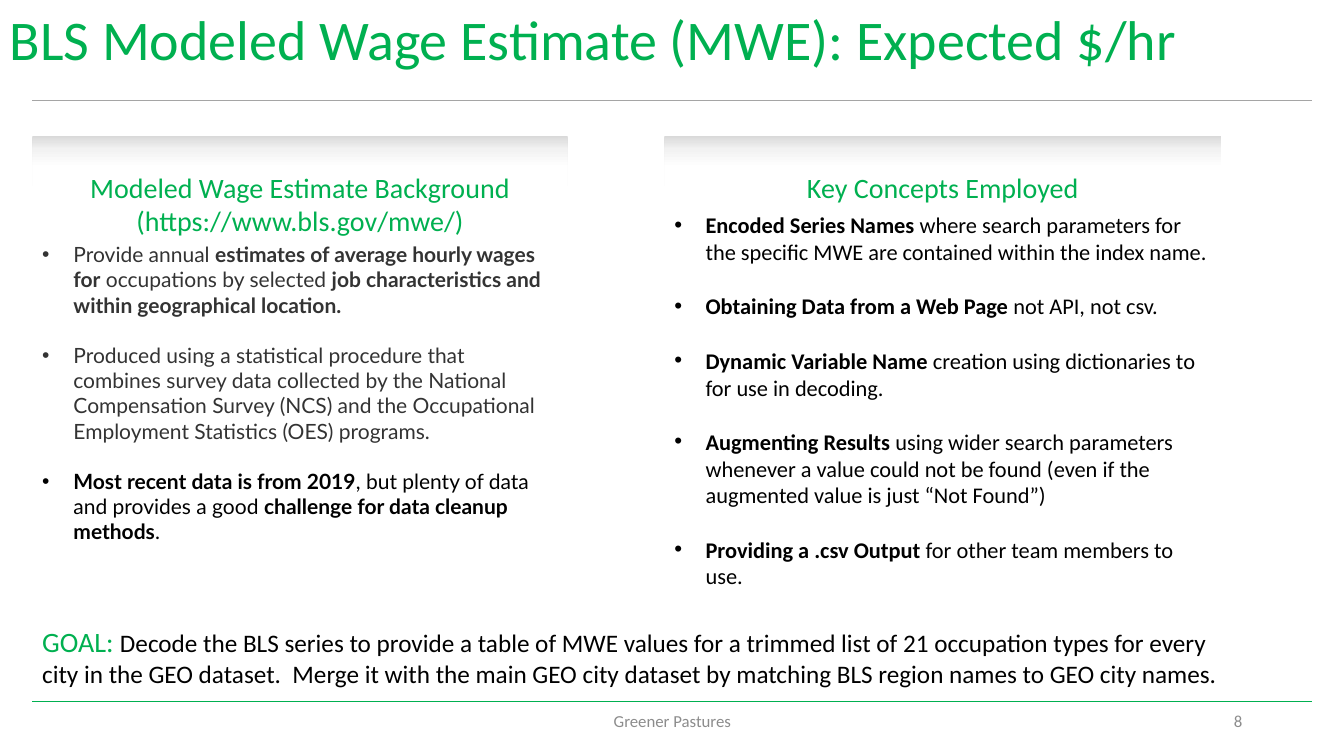
from copy import deepcopy

from lxml.etree import SubElement
from pptx import Presentation
from pptx.dml.color import RGBColor
from pptx.enum.shapes import MSO_CONNECTOR, MSO_SHAPE
from pptx.enum.text import MSO_ANCHOR, PP_ALIGN
from pptx.oxml.ns import qn
from pptx.util import Inches, Pt

COL = ROW = Inches(1)
WIDTH, HEIGHT = 13.33, 7.5
MARGIN, RIGHT_COLUMN = 0.32, 6.59
GREEN, GREY, BLACK, DARK = "00B050", "8C8C8C", "000000", "333333"
BAND_STOPS = [(0, "D9D9D9"), (0.26, "F2F2F2"), (0.63, "FFFFFF")]

BACKGROUND = [
    [("Provide annual ", False, DARK),
     ("estimates of average hourly wages for", True, DARK),
     (" occupations by selected ", False, DARK),
     ("job characteristics and within geographical location.", True, DARK)],
    [("Produced using a statistical procedure that combines survey data "
      "collected by the National Compensation Survey (NCS) and the "
      "Occupational Employment Statistics (OES) programs.", False, DARK)],
    [("Most recent data is from 2019", True, BLACK),
     (", but plenty of data and provides a good ", False, BLACK),
     ("challenge for data cleanup methods", True, BLACK),
     (".", False, BLACK)],
]
CONCEPTS = [
    ("Encoded Series Names ", "where search parameters for the specific MWE "
     "are contained within the index name."),
    ("Obtaining Data from a Web Page ", "not API, not csv."),
    ("Dynamic Variable Name ", "creation using dictionaries to for use in decoding."),
    ("Augmenting Results ", "using wider search parameters whenever a value "
     "could not be found (even if the augmented value is just “Not Found”)"),
    ("Providing a .csv Output ", "for other team members to use."),
]


def rgb(color):
    return RGBColor.from_string(color)


def grid(left, top, width, height):
    return int(left * COL), int(top * ROW), int(width * COL), int(height * ROW)


def add_run(p, text, size=18, color=BLACK, bold=False, font="Calibri"):
    r = p.add_run()
    r.text = text
    r.font.name, r.font.size, r.font.bold = font, Pt(size), bold
    r.font.color.rgb = rgb(color)


def add_frame(shapes, place, anchor=MSO_ANCHOR.TOP):
    tf = shapes.add_textbox(*grid(*place)).text_frame
    tf.word_wrap = True
    tf.vertical_anchor = anchor
    return tf


def add_text(shapes, place, text, align=PP_ALIGN.LEFT, anchor=MSO_ANCHOR.TOP, **style):
    tf = add_frame(shapes, place, anchor)
    for i, line in enumerate(text.split("\n")):
        p = tf.add_paragraph() if i else tf.paragraphs[0]
        p.alignment = align
        add_run(p, line, **style)


def add_bullets(shapes, place, items, gap, **style):
    tf = add_frame(shapes, place)
    for i, item in enumerate(items):
        p = tf.add_paragraph() if i else tf.paragraphs[0]
        pPr = p._p.get_or_add_pPr()
        pPr.set("marL", str(Inches(0.31)))
        pPr.set("indent", str(-Inches(0.31)))
        SubElement(pPr, qn("a:buFont"), typeface="Arial")
        SubElement(pPr, qn("a:buChar"), char="•")
        if i:
            p.space_before = Pt(gap)
        for text, bold, color in item:
            add_run(p, text, bold=bold, color=color, **style)


def add_rule(shapes, y, color):
    x1, y1, x2, y2 = grid(MARGIN, y, WIDTH - MARGIN, y)
    line = shapes.add_connector(MSO_CONNECTOR.STRAIGHT, x1, y1, x2, y2)
    line.line.color.rgb = rgb(color)
    line.line.width = Pt(0.5)
    SubElement(line._element.spPr, qn("a:effectLst"))


def add_band(shapes, left, width):
    sp = shapes.add_shape(MSO_SHAPE.RECTANGLE, *grid(left, 1.35, width, 0.5))
    sp.shadow.inherit = False
    sp.line.fill.background()
    sp.fill.gradient()
    sp.fill.gradient_angle = 270
    stops = sp._element.spPr.find(".//" + qn("a:gsLst"))
    stops.append(deepcopy(stops[0]))
    for stop, (position, color) in zip(sp.fill.gradient_stops, BAND_STOPS):
        stop.position = position
        stop.color.rgb = rgb(color)


def add_column(s, left, width, heading, heading_height, body_top, body_height,
               items, **style):
    shapes = s.shapes.add_group_shape().shapes
    add_band(shapes, left, width)
    add_text(shapes, (left, 1.64, width, heading_height), heading,
             align=PP_ALIGN.CENTER, size=20, color=GREEN)
    add_bullets(shapes, (left, body_top, width, body_height), items, **style)


def add_goal(s):
    p = add_frame(s.shapes, (MARGIN, 6.15, 12.1, 0.74)).paragraphs[0]
    add_run(p, "GOAL: ", size=20, color=GREEN)
    add_run(p, "Decode the BLS series to provide a table of MWE values for a "
               "trimmed list of 21 occupation types for every city in the GEO "
               "dataset.  Merge it with the main GEO city dataset by matching "
               "BLS region names to GEO city names.")


def main():
    prs = Presentation()
    prs.slide_width, prs.slide_height = Inches(WIDTH), Inches(HEIGHT)
    s = prs.slides.add_slide(prs.slide_layouts[6])
    add_rule(s.shapes, 1, "A5A5A5")
    add_rule(s.shapes, 6.96, GREEN)
    footer = dict(anchor=MSO_ANCHOR.MIDDLE, size=12, color=GREY)
    add_text(s.shapes, (4.42, 6.95, 4.5, 0.4), "Greener Pastures",
             align=PP_ALIGN.CENTER, **footer)
    add_text(s.shapes, (9.42, 6.95, 3, 0.4), "8", align=PP_ALIGN.RIGHT, **footer)
    add_text(s.shapes, (0, 0, WIDTH, 0.77),
             "BLS Modeled Wage Estimate (MWE): Expected $/hr", size=40, color=GREEN)
    add_column(s, MARGIN, 5.31,
               "Modeled Wage Estimate Background\n(https://www.bls.gov/mwe/)",
               0.77, 2.35, 3.64, BACKGROUND, gap=18, size=15, font="Lato")
    add_goal(s)
    concepts = [[(name, True, BLACK), (detail, False, BLACK)] for name, detail in CONCEPTS]
    add_column(s, RIGHT_COLUMN, 5.52, "Key Concepts Employed",
               0.44, 2.05, 3.87, concepts, gap=19.5, size=16)
    prs.save("out.pptx")


if __name__ == "__main__":
    main()
